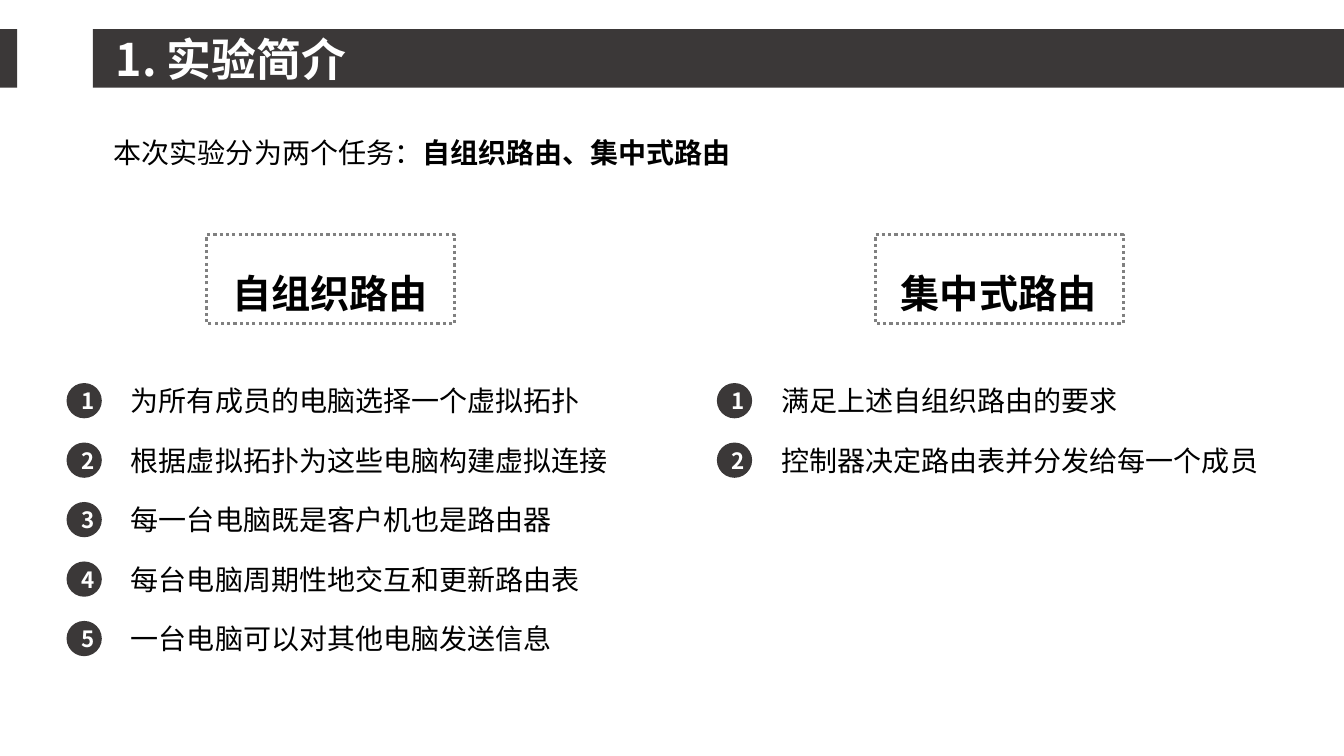
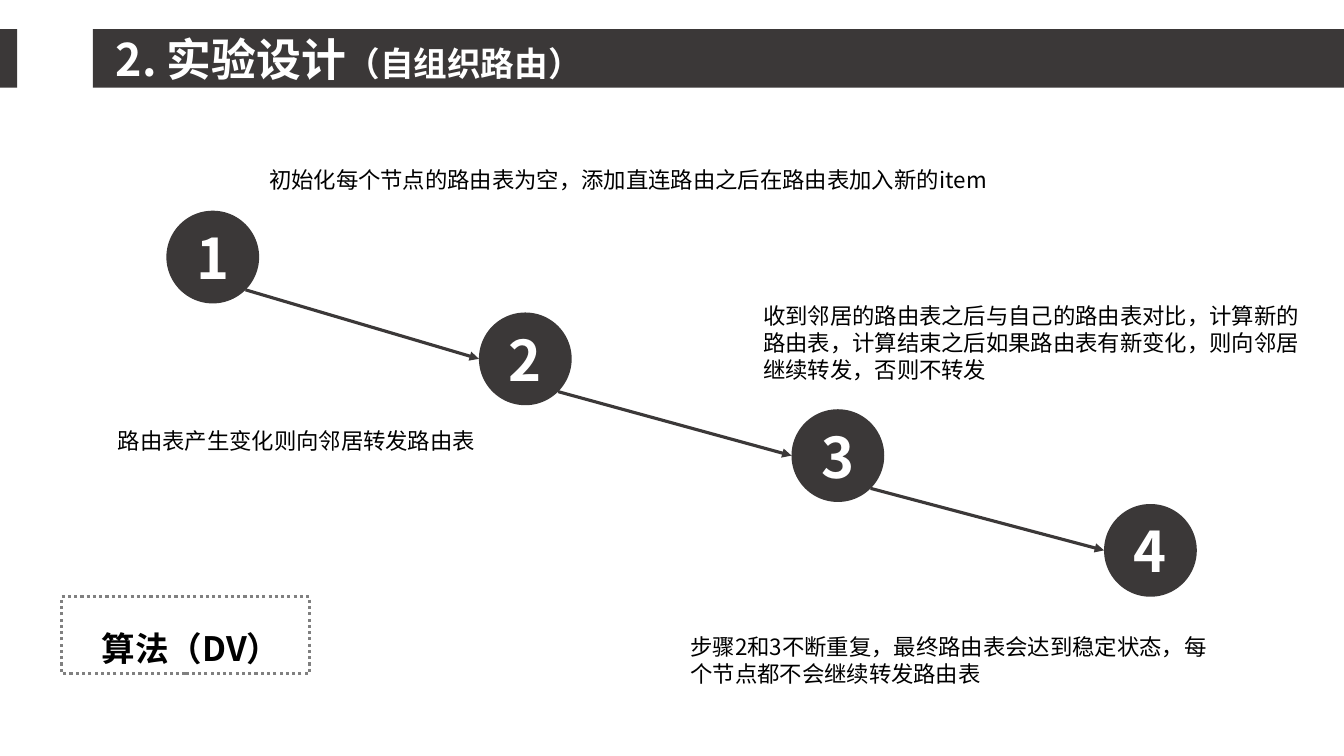
import math

from lxml import etree
from pptx import Presentation
from pptx.dml.color import RGBColor
from pptx.enum import dml, shapes, text
from pptx.oxml import ns
from pptx.util import Inches, Pt

COLORS = {"dark": "3B3838", "gray": "808080", "black": "000000", "white": "FFFFFF"}
FONT = "Noto Sans CJK SC"
SLIDE_WIDTH, SLIDE_HEIGHT = 13.33, 7.5
ROW_PITCH = 0.59
STEP_SIZE = 0.92
STEP_PITCH = 3.1


def color(name):
    """Return a palette colour."""
    return RGBColor.from_string(COLORS[name])


def write_runs(paragraph, runs, fill):
    """Fill a paragraph with (text, size, bold) runs."""
    for content, size, bold in runs:
        run = paragraph.add_run()
        run.text = content
        font = run.font
        font.size, font.bold, font.name = Pt(size), bold, FONT
        font.color.rgb = color(fill)
        east_asian = etree.SubElement(run._r.rPr, ns.qn("a:ea"))
        east_asian.set("typeface", FONT)


def add_text(slide, box, runs, fill="black", wrap=True):
    """Place a text box and return its paragraph."""
    frame = slide.shapes.add_textbox(*map(Inches, box)).text_frame
    frame.word_wrap = wrap
    paragraph = frame.paragraphs[0]
    write_runs(paragraph, runs, fill)
    return paragraph


def add_solid(slide, kind, box):
    """Place a dark shape without outline."""
    shape = slide.shapes.add_shape(kind, *map(Inches, box))
    shape.shadow.inherit = False
    shape.fill.solid()
    shape.fill.fore_color.rgb = color("dark")
    shape.line.fill.background()
    return shape


def add_number(slide, number, left, top, diameter, size):
    """Place a numbered circle."""
    circle = add_solid(slide, shapes.MSO_SHAPE.OVAL, (left, top, diameter, diameter))
    frame = circle.text_frame
    frame.vertical_anchor = text.MSO_ANCHOR.MIDDLE
    frame.paragraphs[0].alignment = text.PP_ALIGN.CENTER
    write_runs(frame.paragraphs[0], [(str(number), size, True)], "white")


def add_dotted_label(slide, left, top, height, label, size, text_left, text_top):
    """Place a dotted frame with a bold label at an offset inside it."""
    frame = slide.shapes.add_shape(
        shapes.MSO_SHAPE.RECTANGLE, *map(Inches, (left, top, 2.46, height)))
    frame.shadow.inherit = False
    frame.fill.background()
    frame.line.color.rgb = color("gray")
    frame.line.width = Pt(2.25)
    frame.line.dash_style = dml.MSO_LINE.ROUND_DOT
    box = (left + text_left, top + text_top, 2.27, height)
    paragraph = add_text(slide, box, [(label, size, True)])
    paragraph.alignment = text.PP_ALIGN.CENTER
    paragraph.line_spacing = 2.0


def add_arrow(slide, start, end):
    """Draw a dark arrow between two points."""
    arrow = slide.shapes.add_connector(
        shapes.MSO_CONNECTOR.STRAIGHT, *map(Inches, (*start, *end)))
    arrow.line.color.rgb = color("dark")
    arrow.line.width = Pt(2.25)
    tail = etree.SubElement(arrow.line._get_or_add_ln(), ns.qn("a:tailEnd"))
    tail.set("type", "triangle")
    etree.SubElement(arrow._element.spPr, ns.qn("a:effectLst"))


def add_titled_slide(presentation, title_runs):
    """Add a blank slide with the title band."""
    slide = presentation.slides.add_slide(presentation.slide_layouts[6])
    for left, width in ((0.92, SLIDE_WIDTH - 0.92), (0, 0.17)):
        add_solid(slide, shapes.MSO_SHAPE.RECTANGLE, (left, 0.29, width, 0.58))
    add_text(slide, (1.05, 0.27, 6.17, 0.64), title_runs, "white")
    return slide


def add_task_column(slide, left, top, label_left, heading, items):
    """Place a task heading and its numbered list."""
    add_dotted_label(slide, left + label_left, top, 0.88, heading, 28, 0.09, -0.17)
    for index, item in enumerate(items):
        row_top = top + 1.43 + index * ROW_PITCH
        add_number(slide, index + 1, left, row_top + 0.04, 0.35, 16)
        add_text(slide, (left + 0.54, row_top, 4.97, 0.44), [(item, 20, False)], wrap=False)


def add_step_chain(slide, left, tops):
    """Place numbered circles joined by arrows."""
    radius = STEP_SIZE / 2
    edge = radius * (1 + math.sqrt(0.5))
    for index, top in enumerate(tops):
        step_left = left + index * STEP_PITCH
        add_number(slide, index + 1, step_left, top, STEP_SIZE, 40)
        if index + 1 < len(tops):
            add_arrow(slide, (step_left + edge, top + edge),
                      (step_left + STEP_PITCH, tops[index + 1] + radius))


def build_overview(presentation):
    """Build the slide that introduces both tasks."""
    slide = add_titled_slide(presentation, [("1. 实验简介", 32, True)])
    add_text(slide, (1.03, 1.3, 10.99, 0.44),
             [("本次实验分为两个任务：", 20, False), ("自组织路由、集中式路由", 20, True)])
    add_task_column(slide, 0.66, 2.33, 1.39, "自组织路由", [
        "为所有成员的电脑选择一个虚拟拓扑",
        "根据虚拟拓扑为这些电脑构建虚拟连接",
        "每一台电脑既是客户机也是路由器",
        "每台电脑周期性地交互和更新路由表",
        "一台电脑可以对其他电脑发送信息",
    ])
    add_task_column(slide, 7.11, 2.33, 1.57, "集中式路由", [
        "满足上述自组织路由的要求",
        "控制器决定路由表并分发给每一个成员",
    ])


def build_design(presentation):
    """Build the slide that shows the algorithm steps."""
    slide = add_titled_slide(
        presentation, [("2. 实验设计", 32, True), ("（自组织路由）", 24, True)])
    add_step_chain(slide, 1.65, (2.09, 3.1, 4.06, 5))
    add_dotted_label(slide, 0.61, 5.92, 0.76, "算法（DV）", 24, 0.15, -0.14)
    descriptions = (
        ((2.57, 1.6, 7.88, 0.37),
         "初始化每个节点的路由表为空，添加直连路由之后在路由表加入新的item"),
        ((1.07, 4.19, 5.05, 0.37), "路由表产生变化则向邻居转发路由表"),
        ((7.47, 2.95, 5.62, 0.91),
         "收到邻居的路由表之后与自己的路由表对比，计算新的路由表，"
         "计算结束之后如果路由表有新变化，则向邻居继续转发，否则不转发"),
        ((6.75, 6.23, 5.36, 0.64),
         "步骤2和3不断重复，最终路由表会达到稳定状态，每个节点都不会继续转发路由表"),
    )
    for box, description in descriptions:
        add_text(slide, box, [(description, 16, False)])


def main():
    """Build and save the presentation."""
    presentation = Presentation()
    presentation.slide_width = Inches(SLIDE_WIDTH)
    presentation.slide_height = Inches(SLIDE_HEIGHT)
    build_overview(presentation)
    build_design(presentation)
    presentation.save("out.pptx")


if __name__ == "__main__":
    main()
